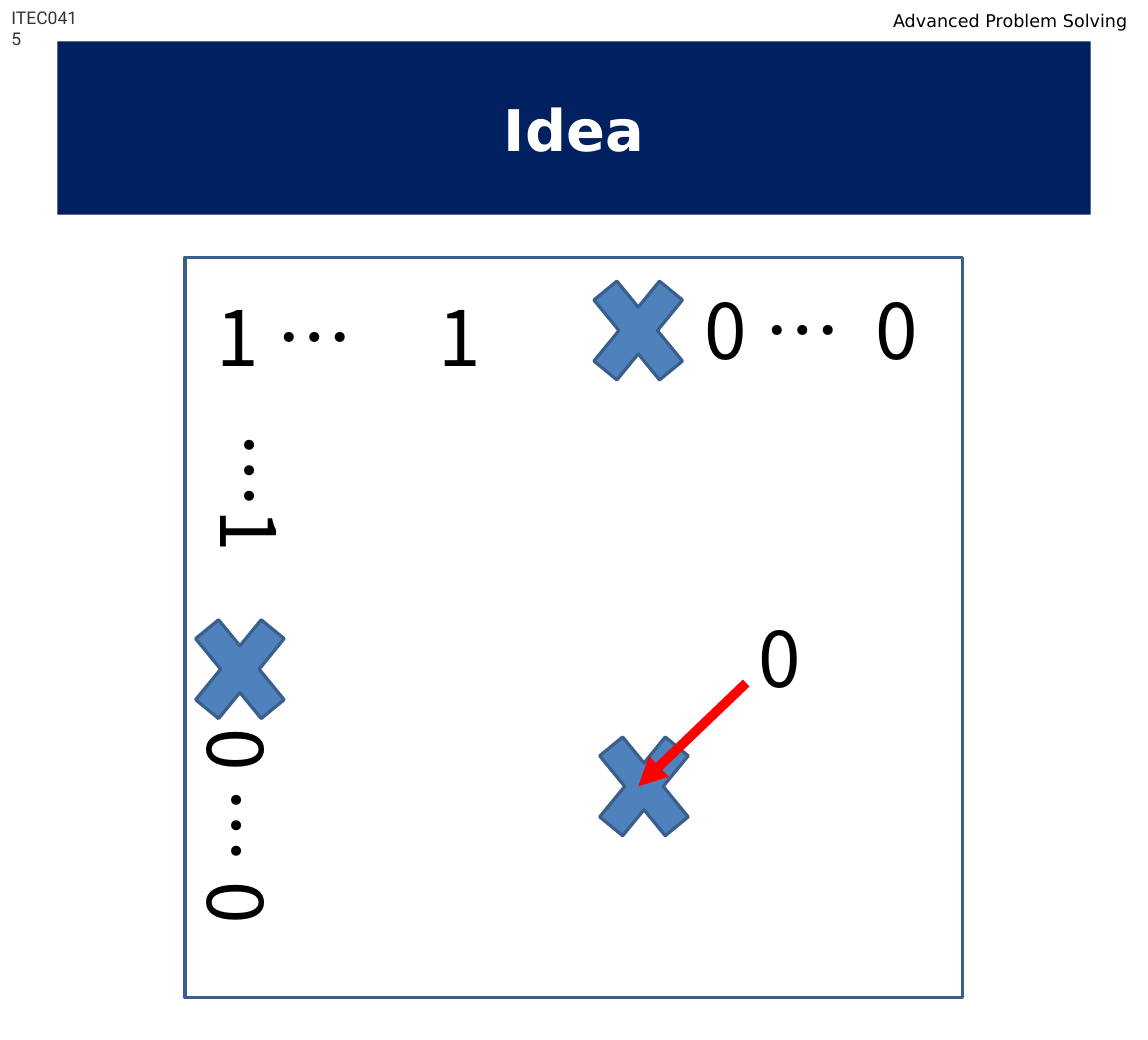
from pptx import Presentation
from pptx.dml.color import RGBColor
from pptx.enum.shapes import MSO_CONNECTOR, MSO_SHAPE
from pptx.enum.text import MSO_ANCHOR, MSO_AUTO_SIZE, PP_ALIGN
from pptx.oxml.ns import qn
from pptx.util import Pt
from lxml.etree import SubElement

NAVY = RGBColor(0x00, 0x20, 0x60)
BLUE = RGBColor(0x4F, 0x81, 0xBD)
EDGE = RGBColor(0x3A, 0x5F, 0x8C)
RED = RGBColor(0xFF, 0x00, 0x00)
GREY = RGBColor(0x33, 0x33, 0x33)
WHITE = RGBColor(0xFF, 0xFF, 0xFF)
BLACK = RGBColor(0x00, 0x00, 0x00)

TITLE = {"name": "DejaVu Sans", "size": Pt(36), "bold": True}
COURSE = {"name": "Roboto", "size": Pt(11)}
SUBJECT = {"name": "DejaVu Sans", "size": Pt(11)}
ENTRY = {"name": "Noto Sans CJK KR", "size": Pt(48)}

INSET = 7.2


def set_attrs(obj, values):
    for key, value in values.items():
        setattr(obj, key, value)


def write(tf, text, font, color):
    p = tf.paragraphs[0]
    r = p.add_run()
    r.text = text
    set_attrs(r.font, font)
    r.font.color.rgb = color
    SubElement(r.font._element, qn("a:ea"), typeface=font["name"])
    return p


def add_box(s, kind, box, fill, line=None):
    sp = s.shapes.add_shape(kind, *map(Pt, box))
    sp.shadow.inherit = False
    sp.fill.solid()
    sp.fill.fore_color.rgb = fill
    if line is None:
        sp.line.fill.background()
    else:
        sp.line.color.rgb = line
        sp.line.width = Pt(2)
    return sp


def add_title(s, text, box):
    tf = add_box(s, MSO_SHAPE.RECTANGLE, box, NAVY).text_frame
    tf.vertical_anchor = MSO_ANCHOR.MIDDLE
    write(tf, text, TITLE, WHITE).alignment = PP_ALIGN.CENTER


def add_text(s, text, box, font, color=BLACK, indent=0, tab=None, rotation=0):
    sp = s.shapes.add_textbox(*map(Pt, box))
    sp.rotation = rotation
    tf = sp.text_frame
    set_attrs(tf, {"word_wrap": True,
                   "auto_size": MSO_AUTO_SIZE.SHAPE_TO_FIT_TEXT,
                   "margin_left": Pt(INSET + indent)})
    p = write(tf, text, font, color)
    if tab:
        tabs = SubElement(p._p.get_or_add_pPr(), qn("a:tabLst"))
        SubElement(tabs, qn("a:tab"), pos=str(Pt(tab)), algn="l")


def add_cross(s, left, top):
    add_box(s, MSO_SHAPE.MATH_MULTIPLY, (left, top, 79.2, 96.5), BLUE, EDGE)


def add_arrow(s, start, end):
    cn = s.shapes.add_connector(MSO_CONNECTOR.STRAIGHT,
                                *map(Pt, start + end))
    cn.line.color.rgb = RED
    cn.line.width = Pt(6)
    SubElement(cn.line._get_or_add_ln(), qn("a:tailEnd"), type="triangle")
    SubElement(cn._element.spPr, qn("a:effectLst"))


def main():
    prs = Presentation()
    set_attrs(prs, {"slide_width": Pt(720), "slide_height": Pt(652.32)})
    s = prs.slides.add_slide(prs.slide_layouts[6])

    add_title(s, "Idea", (36, 26, 648, 108.7))
    add_text(s, "ITEC0415", (0, 0.7, 57, 20.9), COURSE, GREY)
    add_text(s, "Advanced Problem Solving", (553, 2.9, 167, 20.9), SUBJECT)

    add_box(s, MSO_SHAPE.RECTANGLE, (116, 161.3, 487.5, 464.4), WHITE, EDGE)
    for left, top in ((360.7, 159.1), (110.9, 371.5)):
        add_cross(s, left, top)

    add_text(s, "1 …\t1", (128.9, 178.6, 226, 65.5), ENTRY, tab=139)
    add_text(s, "…1", (43.9, 258.5, 226, 65.5), ENTRY, indent=86, rotation=90)
    add_text(s, "0 …\t0", (434.9, 174.2, 156.2, 65.5), ENTRY, tab=107)
    add_text(s, "0 … 0", (36, 486.7, 226, 65.5), ENTRY, indent=43, rotation=90)

    add_cross(s, 364.3, 445)
    add_arrow(s, (468, 428.4), (400.3, 493.2))
    add_text(s, "0", (468.7, 379.4, 22.3, 65.5), ENTRY)

    prs.save("out.pptx")


if __name__ == "__main__":
    main()
